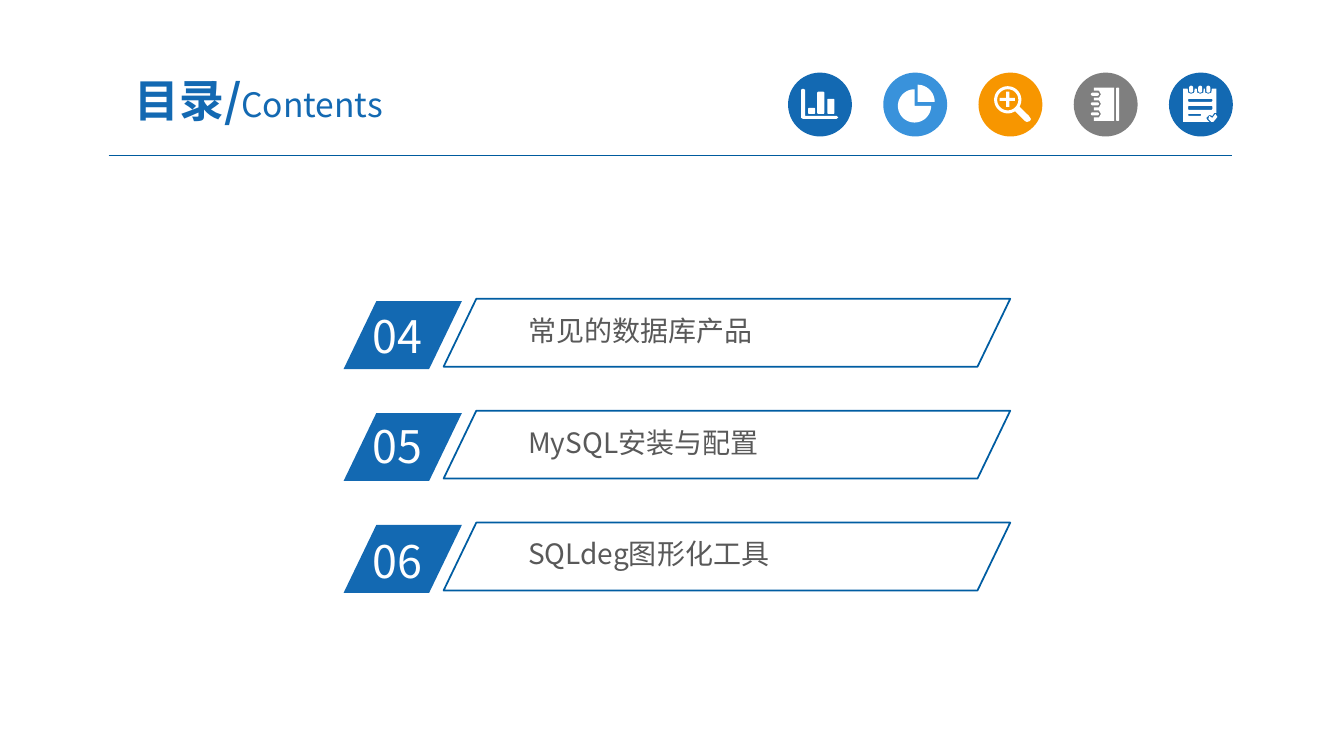
from math import cos, radians, sin

from pptx import Presentation
from pptx.dml.color import RGBColor
from pptx.enum import shapes, text
from pptx.oxml import ns, xmlchemy
from pptx.util import Cm, Pt

FONT = "Noto Sans CJK SC"
COLORS = {"blue": "1369B2", "sky": "3992DB", "orange": "F79600", "gray": "7F7F7F",
          "rule": "005B9E", "frame": "005DA2", "label": "595959", "white": "FFFFFF"}
ICON_UNIT = 0.0254  # cm per unit of the 63 x 63 grid on which icons are drawn


def color(name):
    return RGBColor.from_string(COLORS[name])


def add_text(slide, box, runs, insets=(0.25, 0.13), anchor=text.MSO_ANCHOR.TOP,
             align=text.PP_ALIGN.LEFT):
    """Runs are (words, size, colour name, bold)."""
    shape = slide.shapes.add_textbox(*map(Cm, box))
    frame = shape.text_frame
    frame.word_wrap = True
    frame.vertical_anchor = anchor
    frame.margin_left = frame.margin_right = Cm(insets[0])
    frame.margin_top = frame.margin_bottom = Cm(insets[1])
    paragraph = frame.paragraphs[0]
    paragraph.alignment = align
    for words, size, name, bold in runs:
        run = paragraph.add_run()
        run.text = words
        run.font.size = Pt(size)
        run.font.bold = bold
        run.font.color.rgb = color(name)
        run.font.name = FONT
        east_asian = xmlchemy.OxmlElement("a:ea")
        east_asian.set("typeface", FONT)
        run.font._element.append(east_asian)


def paint(shape, fill=None, line=None):
    shape.shadow.inherit = False
    if fill:
        shape.fill.solid()
        shape.fill.fore_color.rgb = color(fill)
    else:
        shape.fill.background()
    if line:
        shape.line.color.rgb = color(line)
        shape.line.width = Pt(1.25)
    else:
        shape.line.fill.background()


# Icon outlines, each a list of closed contours
def arc(x, y, radius, start=0, end=360, steps=36):
    angles = [radians(start + (end - start) * i / steps) for i in range(steps + 1)]
    return [(x + radius * cos(a), y + radius * sin(a)) for a in angles]


def rounded(x, y, width, height, radius=1):
    right, bottom = x + width - radius, y + height - radius
    corners = [(right, bottom), (x + radius, bottom), (x + radius, y + radius), (right, y + radius)]
    return [point for i, (cx, cy) in enumerate(corners)
            for point in arc(cx, cy, radius, 90 * i, 90 * i + 90, 4)]


def bar_chart_icon():
    axes = [(13, 17), (15, 16), (17, 17), (17, 43), (48, 43), (50, 44.5), (48, 46), (15, 46), (13, 45)]
    bars = [rounded(x, 41 - height, 7, height) for x, height in ((20, 6), (29, 22), (39, 15))]
    return [axes] + bars


def pie_icon():
    return [arc(31, 33, 16.5, 0, 270) + [(31, 33)], arc(34, 29, 17, 270, 360) + [(34, 29)]]


def magnifier_icon():
    lens = arc(29, 27, 13.5, 57, 390) + [(50, 43), (52, 46), (51, 48), (48, 49), (46, 48)]
    plus = [(27.5, 19), (30.5, 19), (30.5, 25), (36, 25), (36, 28), (30.5, 28),
            (30.5, 34), (27.5, 34), (27.5, 28), (21, 28), (21, 25), (27.5, 25)]
    return [lens, arc(29, 27, 10.5), plus]


def notebook_icon():
    holes = (41, 31, 21.5)
    cover = [(40, 15), (40, 48), (20, 48)]
    for y in holes:
        cover += [(20, y + 3.5), (25, y + 3.5), (27, y), (25, y - 3.5), (20, y - 3.5)]
    cover.append((20, 15))
    return [cover, rounded(42, 15, 3, 33)] + [rounded(17, y - 1.5, 8, 3, 1.5) for y in holes]


def notepad_icon():
    rings = (22, 31, 39)
    page = [(14, 16)]
    for x in rings:
        page += [(x - 3.5, 16), (x - 3, 20), (x, 21), (x + 3, 20), (x + 3.5, 16)]
    page += [(47, 16), (47, 40), (45, 40), (43, 43), (40, 42), (37, 45), (38, 47), (40, 49), (14, 49)]
    tick = [(48, 44), (44, 49), (42, 49), (39, 46), (40, 43), (43, 45), (46, 41)]
    lines = [rounded(19, 26, 24, 3), rounded(19, 33, 24, 4), rounded(19, 41, 13, 2)]
    return [page, tick] + lines + [rounded(x - 2, 13, 4, 7, 2) for x in rings]


def add_icon(slide, left, top, fill, contours):
    disc = slide.shapes.add_shape(shapes.MSO_SHAPE.OVAL, Cm(left), Cm(top), Cm(1.61), Cm(1.61))
    paint(disc, fill)
    scaled = [[(Cm(x * ICON_UNIT), Cm(y * ICON_UNIT)) for x, y in contour] for contour in contours]
    builder = slide.shapes.build_freeform(*scaled[0][0])
    builder.add_line_segments(scaled[0][1:])
    for contour in scaled[1:]:
        builder.move_to(*contour[0])
        builder.add_line_segments(contour[1:])
    paint(builder.convert_to_shape(Cm(left), Cm(top)), "white")


def add_header(slide, left, top, width):
    """Rule, title and the row of icons."""
    rule = slide.shapes.add_connector(shapes.MSO_CONNECTOR.STRAIGHT, Cm(left), Cm(top + 2.1),
                                      Cm(left + width), Cm(top + 2.1))
    rule.line.color.rgb = color("rule")
    rule.line.width = Pt(0.75)
    rule._element.find(ns.qn("p:spPr")).append(xmlchemy.OxmlElement("a:effectLst"))
    icons = [("blue", bar_chart_icon), ("sky", pie_icon), ("orange", magnifier_icon),
             ("gray", notebook_icon), ("blue", notepad_icon)]
    for i, (fill, outline) in enumerate(icons):
        add_icon(slide, left + 17.12 + 2.4 * i, top, fill, outline())
    add_text(slide, (left - 0.4, top - 0.23, 8.36, 1.83),
             [("目录/", 32, "blue", True), ("Contents", 24, "blue", False)],
             (0.33, 0.18), text.MSO_ANCHOR.MIDDLE, text.PP_ALIGN.CENTER)


def add_parallelogram(slide, box, fill=None, line=None):
    shape = slide.shapes.add_shape(shapes.MSO_SHAPE.PARALLELOGRAM, *map(Cm, box))
    shape.adjustments[0] = 0.482
    paint(shape, fill, line)


def add_entry(slide, left, top, number, number_drop, label):
    """One line of the contents: number tag and framed label."""
    add_parallelogram(slide, (left, top, 2.98, 1.71), fill="blue")
    add_text(slide, (left + 0.48, top + number_drop, 2.84, 1.63), [(number, 32, "white", False)])
    add_text(slide, (left + 4.47, top + 0.2, 10.46, 1.09), [(label, 20, "label", False)], (0.18, 0.1))
    add_parallelogram(slide, (left + 2.52, top - 0.06, 14.28, 1.71), line="frame")


def main():
    presentation = Presentation()
    presentation.slide_width, presentation.slide_height = Cm(33.87), Cm(19.05)
    slide = presentation.slides.add_slide(presentation.slide_layouts[6])
    add_header(slide, 2.74, 1.83, 28.32)
    entries = [("04", 0.05, "常见的数据库产品"), ("05", 0, "MySQL安装与配置"),
               ("06", 0.08, "SQLdeg图形化工具")]
    for i, entry in enumerate(entries):
        add_entry(slide, 8.66, 7.59 + 2.82 * i, *entry)
    presentation.save("out.pptx")


if __name__ == "__main__":
    main()
